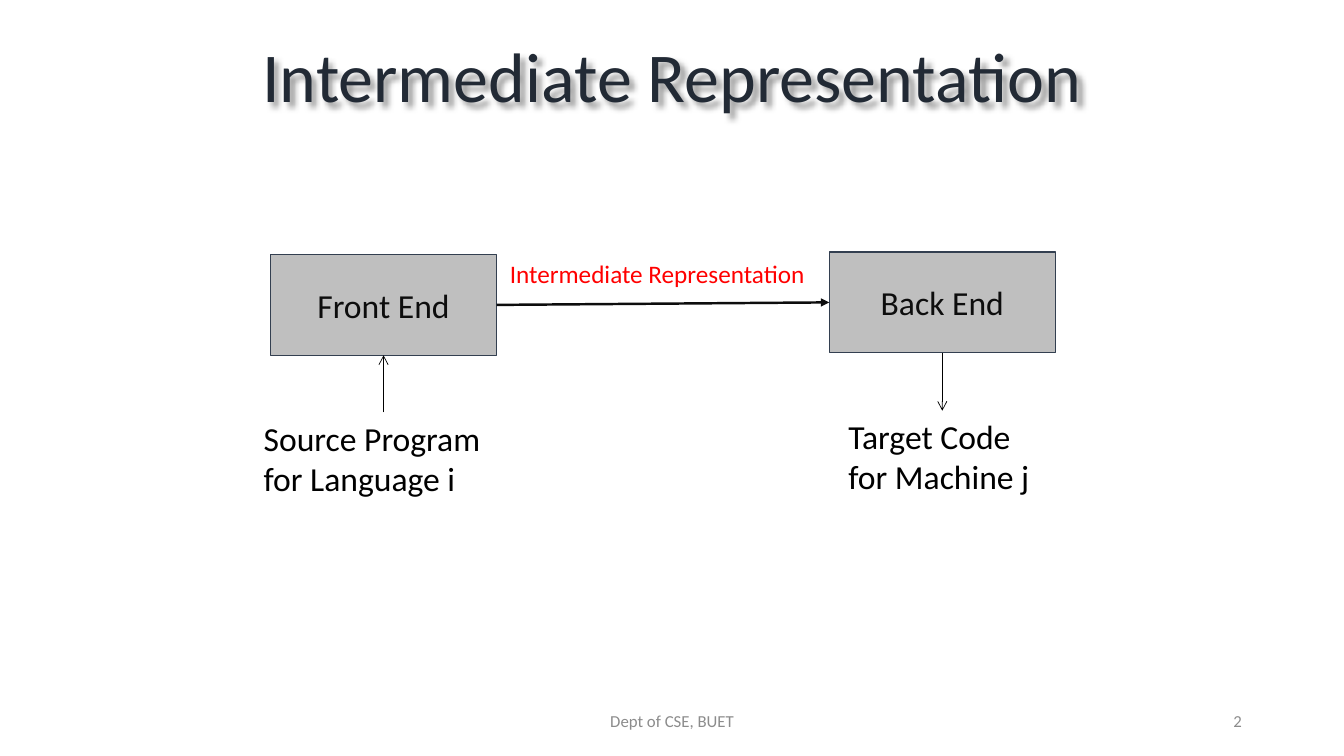
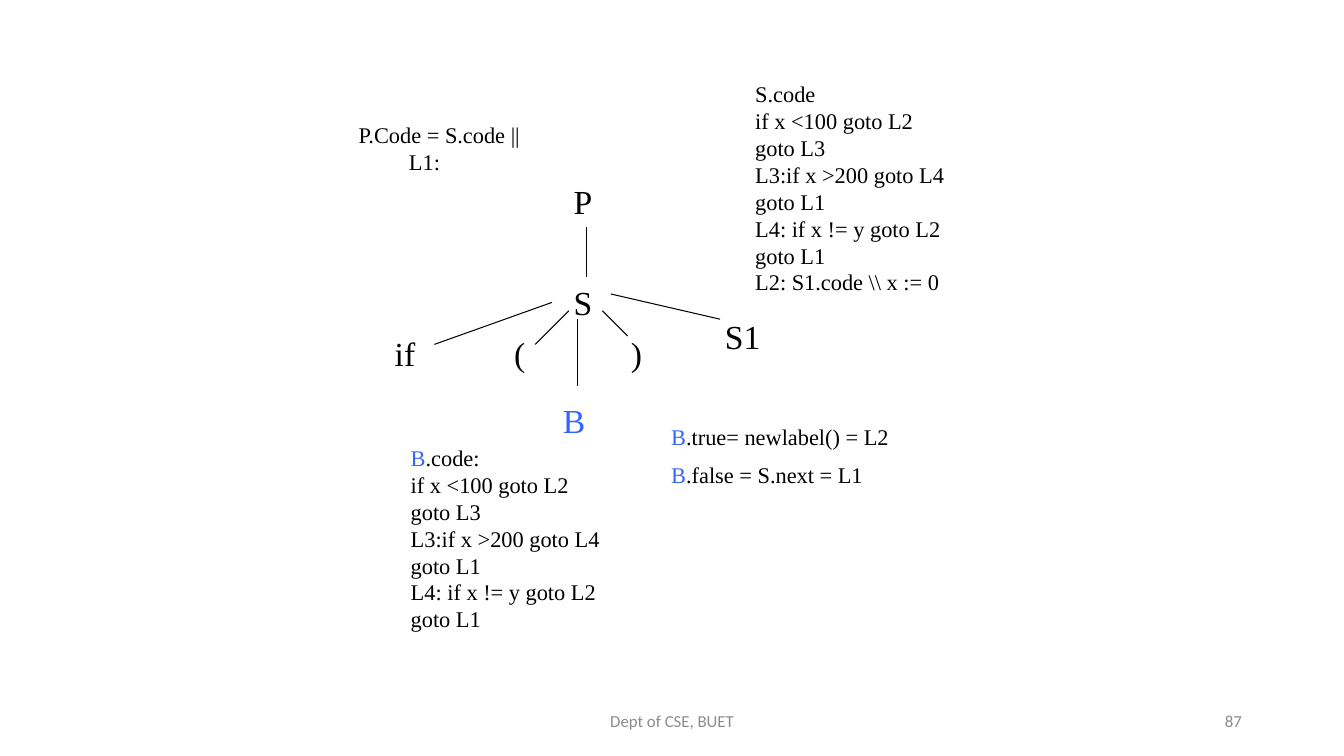
from dataclasses import dataclass

from lxml import etree
from pptx import Presentation
from pptx.dml.color import RGBColor
from pptx.enum.shapes import MSO_CONNECTOR as Connector, MSO_SHAPE as Preset
from pptx.enum.text import MSO_ANCHOR as Anchor, PP_ALIGN as Align
from pptx.oxml.ns import qn
from pptx.util import Inches, Pt


@dataclass(frozen=True)
class Theme:
    sans: str = "Calibri"
    serif: str = "Times New Roman"
    title: str = "222A35"
    box_fill: str = "BFBFBF"
    box_line: str = "333F50"
    box_ink: str = "0D0D0D"
    ink: str = "000000"
    accent: str = "FF0000"
    symbol: str = "3366FF"
    muted: str = "8C8C8C"
    title_size: int = 50
    large: int = 24
    label: int = 18
    code: int = 16
    small: int = 12
    serif_leading: float = 1.2


theme = Theme()

# Grid: 160 columns by 90 rows of square cells
presentation = Presentation()
presentation.slide_width, presentation.slide_height = Inches(13.33), Inches(7.5)
CELL = presentation.slide_height / 90


def write(slide, area, lines, size, font=theme.sans, color=theme.ink,
          align=Align.LEFT, anchor=Anchor.TOP, box=False):
    """Place text in a grid area; a line is a string or a list of (text, color)."""
    place = [round(cells * CELL) for cells in area]
    if box:
        holder = slide.shapes.add_shape(Preset.RECTANGLE, *place)
        holder.shadow.inherit = False
        holder.fill.solid()
        holder.fill.fore_color.rgb = RGBColor.from_string(theme.box_fill)
        holder.line.color.rgb = RGBColor.from_string(theme.box_line)
        holder.line.width = Pt(1)
    else:
        holder = slide.shapes.add_textbox(*place)
    frame = holder.text_frame
    frame.word_wrap = True
    frame.vertical_anchor = anchor
    for index, line in enumerate(lines):
        paragraph = frame.add_paragraph() if index else frame.paragraphs[0]
        paragraph.alignment = align
        if font == theme.serif:
            paragraph.line_spacing = Pt(size * theme.serif_leading)
        for text, ink in [(line, color)] if isinstance(line, str) else line:
            run = paragraph.add_run()
            run.text = text
            run.font.name = font
            run.font.size = Pt(size)
            run.font.color.rgb = RGBColor.from_string(ink)
    return holder


def draw_line(slide, start=(0, 0), end=(0, 0), width=0.75, color=theme.ink, arrow=None):
    line = slide.shapes.add_connector(
        Connector.STRAIGHT, *[round(cells * CELL) for cells in (*start, *end)])
    line.line.width = Pt(width)
    line.line.color.rgb = RGBColor.from_string(color)
    properties = line._element.spPr
    if arrow:
        etree.SubElement(properties.find(qn("a:ln")), qn("a:tailEnd"), type=arrow)
    etree.SubElement(properties, qn("a:effectLst"))
    return line


# Shared footer
slides = []
for number in ("2", "87"):
    slide = presentation.slides.add_slide(presentation.slide_layouts[6])
    for area, text, align in (((53, 83.4, 54, 4.8), "Dept of CSE, BUET", Align.CENTER),
                              ((113, 83.4, 36, 4.8), number, Align.RIGHT)):
        write(slide, area, [text], theme.small, color=theme.muted,
              align=align, anchor=Anchor.MIDDLE)
    slides.append(slide)
overview, parse_tree = slides

# Overview: title with a soft shadow
title = write(overview, (11, 1.9, 138, 15.2), ["Intermediate Representation"],
              theme.title_size, color=theme.title, align=Align.CENTER, anchor=Anchor.MIDDLE)
title.text_frame.paragraphs[0].line_spacing = 0.9
effects = etree.SubElement(title._element.spPr, qn("a:effectLst"))
shadow = etree.SubElement(effects, qn("a:outerShdw"), blurRad="50800", dist="50800",
                          dir="2700000", algn="tl", rotWithShape="0")
shade = etree.SubElement(shadow, qn("a:srgbClr"), val=theme.ink)
etree.SubElement(shade, qn("a:alpha"), val="40000")

# Overview: compiler stages and what goes in and out
front_end, back_end = [
    write(overview, (left, top, 26.9, 12), [stage], theme.large, color=theme.box_ink,
          align=Align.CENTER, anchor=Anchor.MIDDLE, box=True)
    for stage, left, top in (("Front End", 32.2, 30.3), ("Back End", 98.7, 30))]
source = write(overview, (30.2, 49.1, 30.9, 10.9),
               ["Source Program", "for Language i"], theme.large)
target = write(overview, (99.8, 48.9, 24.7, 10.9),
               ["Target Code", "for Machine j"], theme.large)
write(overview, (59.5, 30.2, 39.6, 4.8), ["Intermediate Representation"],
      theme.label, color=theme.accent)

# Overview: arrows glued to the sides of the stages
TOP, LEFT, BOTTOM, RIGHT = range(4)
for origin, exit_side, goal, entry_side, width, color, arrow in (
        (front_end, RIGHT, back_end, LEFT, 1.75, theme.box_ink, "triangle"),
        (source, TOP, front_end, BOTTOM, 0.5, theme.ink, "arrow"),
        (back_end, BOTTOM, target, TOP, 0.5, theme.ink, "arrow")):
    flow = draw_line(overview, width=width, color=color, arrow=arrow)
    flow.begin_connect(origin, exit_side)
    flow.end_connect(goal, entry_side)

# Parse tree: nodes, all of one size with room for the longest symbol
for symbol, left, top in (("P", 67.1, 21), ("S", 67.1, 33), ("if", 45.8, 39), ("(", 60, 39),
                          ("B", 65.8, 47), (")", 73.9, 39), ("S1", 85.1, 37)):
    write(parse_tree, (left, top, 8, 6), [symbol], theme.large, theme.serif,
          theme.symbol if symbol == "B" else theme.ink)

# Parse tree: branches
for start, end in (
        ((69.8, 27), (69.8, 33)), ((65.7, 36), (51.7, 41)), ((67.7, 37), (63.7, 41)),
        ((68.7, 38), (68.7, 46)), ((71.7, 37), (74.7, 40)), ((72.7, 35), (85.7, 38))):
    draw_line(parse_tree, start, end)

# Parse tree: generated code and attributes
condition_code = ["if x <100 goto L2", "goto L3", "L3:if x >200 goto L4", "goto L1",
                  "L4: if x != y goto L2", "goto L1"]
condition = ("B", theme.symbol)
write(parse_tree, (47.7, 52.3, 39, 23.7),
      [[condition, (".code:", theme.ink)], *condition_code], theme.code, theme.serif)
write(parse_tree, (88.7, 9, 39, 26.9),
      ["S.code", *condition_code, r"L2: S1.code \\ x := 0"], theme.code, theme.serif)
labels = write(parse_tree, (78.7, 49.8, 32, 9.2),
               [[condition, (".true= newlabel() = L2", theme.ink)],
                [condition, (".false = S.next = L1", theme.ink)]], theme.code, theme.serif)
labels.text_frame.paragraphs[1].space_before = Pt(8)
program = write(parse_tree, (41.5, 13.8, 26.4, 7.7),
                ["P.Code = S.code ||", "L1:"], theme.code, theme.serif)
program.text_frame.paragraphs[1]._p.get_or_add_pPr().set("marL", str(round(6 * CELL)))

presentation.save("out.pptx")
